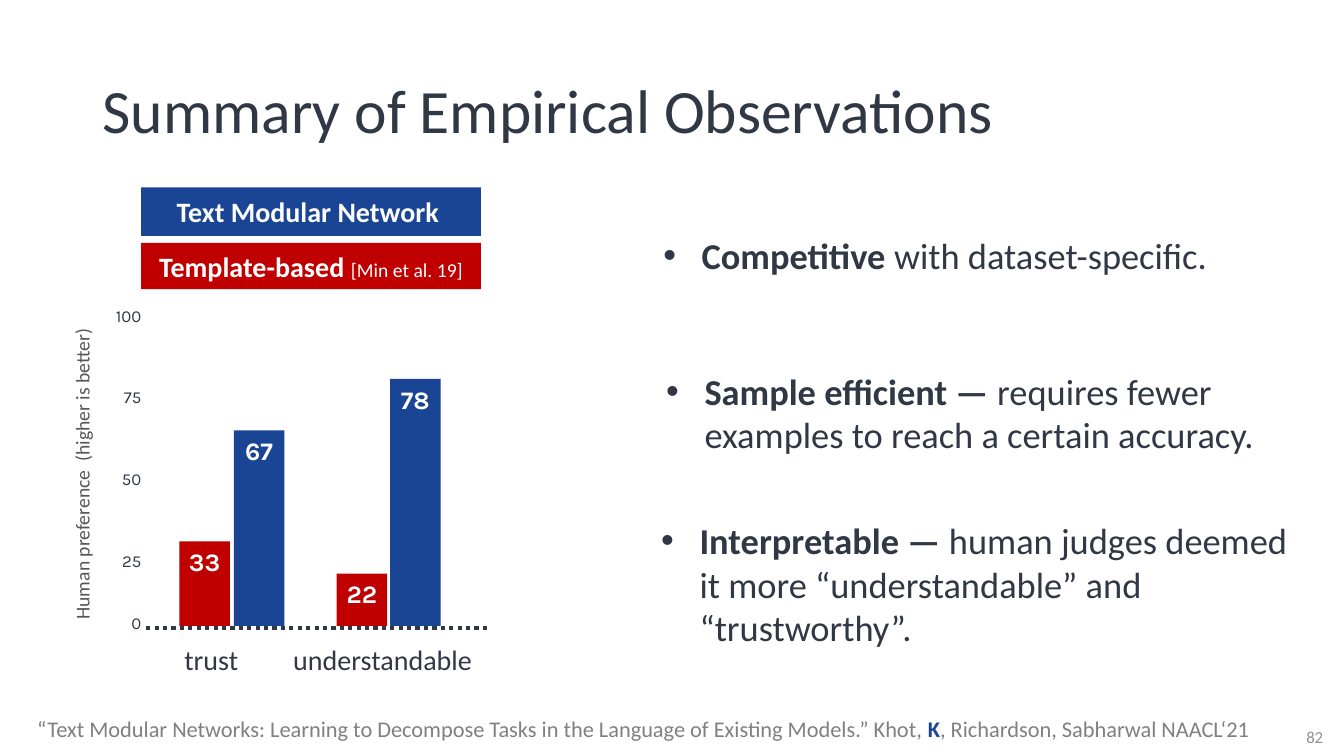
from lxml.etree import SubElement
from pptx import Presentation
from pptx.dml.color import RGBColor
from pptx.enum.dml import MSO_LINE
from pptx.enum.shapes import MSO_CONNECTOR, MSO_SHAPE
from pptx.enum.text import MSO_ANCHOR, PP_ALIGN
from pptx.oxml.ns import qn
from pptx.util import Pt

PX = 9144  # 100 px to the inch
C = {"ink": "303845", "blue": "1A4595", "red": "C00000", "white": "FFFFFF",
     "gray": "808080", "axis": "575657", "number": "8F9194"}

prs = Presentation()
prs.slide_width, prs.slide_height = 1333 * PX, 750 * PX
s = prs.slides.add_slide(prs.slide_layouts[6])


def add_text(box, runs, align=PP_ALIGN.LEFT, anchor=MSO_ANCHOR.TOP, wrap=True,
             font="Calibri", shape=None):
    """Fill a new text box, or the given shape, with (text, size, color, bold) runs."""
    sp = shape or s.shapes.add_textbox(*(v * PX for v in box))
    tf = sp.text_frame
    tf.word_wrap, tf.vertical_anchor = wrap, anchor
    p = tf.paragraphs[0]
    p.alignment = align
    for text, size, color, bold in runs:
        r = p.add_run()
        r.text = text
        r.font.name, r.font.size, r.font.bold = font, Pt(size), bold
        r.font.color.rgb = RGBColor.from_string(C[color])
    return sp


def add_block(box, fill):
    sp = s.shapes.add_shape(MSO_SHAPE.RECTANGLE, *(v * PX for v in box))
    sp.shadow.inherit = False
    sp.fill.solid()
    sp.fill.fore_color.rgb = RGBColor.from_string(C[fill])
    sp.line.fill.background()
    return sp


# Title, slide number and citation
title = add_text((92, 40, 1150, 145),
                 [("Summary of Empirical Observations", 44, "ink", False)],
                 anchor=MSO_ANCHOR.MIDDLE)
title.text_frame.paragraphs[0].line_spacing = 0.9
add_text((1275, 711, 58, 40), [("82", 12, "number", False)],
         PP_ALIGN.CENTER, MSO_ANCHOR.MIDDLE)
add_text((27, 705, 1276, 37), [
    ("“Text Modular Networks: Learning to Decompose Tasks in the Language of "
     "Existing Models.” Khot, ", 16, "gray", False),
    ("K", 16, "blue", True),
    (", Richardson, Sabharwal NAACL‘21", 16, "gray", False)], wrap=False)

# Legend
legend = [
    (186, 48, "blue", [("Text Modular Network ", 20, "white", True)]),
    (241, 46, "red", [("Template-based ", 20, "white", True),
                      ("[Min et al. 19]", 14, "white", False)]),
]
for top, height, fill, runs in legend:
    box = (140, top, 337, height)
    add_text(box, runs, PP_ALIGN.CENTER, MSO_ANCHOR.MIDDLE,
             shape=add_block(box, fill))

# Baseline and bars, drawn at their own heights rather than to a common scale
BASE = 621
baseline = s.shapes.add_connector(MSO_CONNECTOR.STRAIGHT,
                                  145 * PX, 623 * PX, 485 * PX, 623 * PX)
baseline.line.color.rgb = RGBColor.from_string(C["ink"])
baseline.line.width = Pt(3)
baseline.line.dash_style = MSO_LINE.ROUND_DOT
SubElement(baseline._element.spPr, qn("a:effectLst"))

bars = [("33", 178, 84, "red"), ("67", 232, 194, "blue"),
        ("22", 334, 52, "red"), ("78", 387, 245, "blue")]
for value, left, height, fill in bars:
    box = (left, BASE - height, 50, height)
    bar = add_text(box, [(value, 18, "white", True)], PP_ALIGN.CENTER,
                   font="Karla", shape=add_block(box, fill))
    bar.text_frame.margin_left = bar.text_frame.margin_right = 0

# Axis title, value labels and category labels
axis_title = add_text((-76, 450, 315, 34),
                      [("Human preference  (higher is better)", 14, "axis", False)],
                      wrap=False)
axis_title.rotation = 270

ticks = add_text((99, 299, 51, 333), [("100", 12, "ink", False)],
                 PP_ALIGN.RIGHT, MSO_ANCHOR.MIDDLE, False, "Karla")
for label, gap in [("75", 44), ("50", 44), ("25", 44), ("0", 30)]:
    p = ticks.text_frame.add_paragraph()
    p.alignment, p.space_before = PP_ALIGN.RIGHT, Pt(gap)
    r = p.add_run()
    r.text = label
    r.font.name, r.font.size = "Karla", Pt(12)
    r.font.color.rgb = RGBColor.from_string(C["ink"])

for label, left, top, width in [("trust", 173, 632, 75),
                                ("understandable", 281, 633, 202)]:
    add_text((left, top, width, 44), [(label, 20, "ink", False)], wrap=False)

# Findings
findings = [
    ((648, 226, 692, 54), "Competitive ", "with dataset-specific."),
    ((651, 361, 657, 98), "Sample efficient — ",
     "requires fewer examples to reach a certain accuracy."),
    ((646, 509, 658, 141), "Interpretable — ",
     "human judges deemed it more “understandable” and “trustworthy”."),
]
for box, lead, rest in findings:
    sp = add_text(box, [(lead, 26, "ink", True), (rest, 26, "ink", False)])
    pPr = sp.text_frame.paragraphs[0]._p.get_or_add_pPr()
    pPr.set("marL", str(38 * PX))
    pPr.set("indent", str(-38 * PX))
    SubElement(pPr, qn("a:buFont"), typeface="Arial")
    SubElement(pPr, qn("a:buChar"), char="•")

prs.save("out.pptx")
